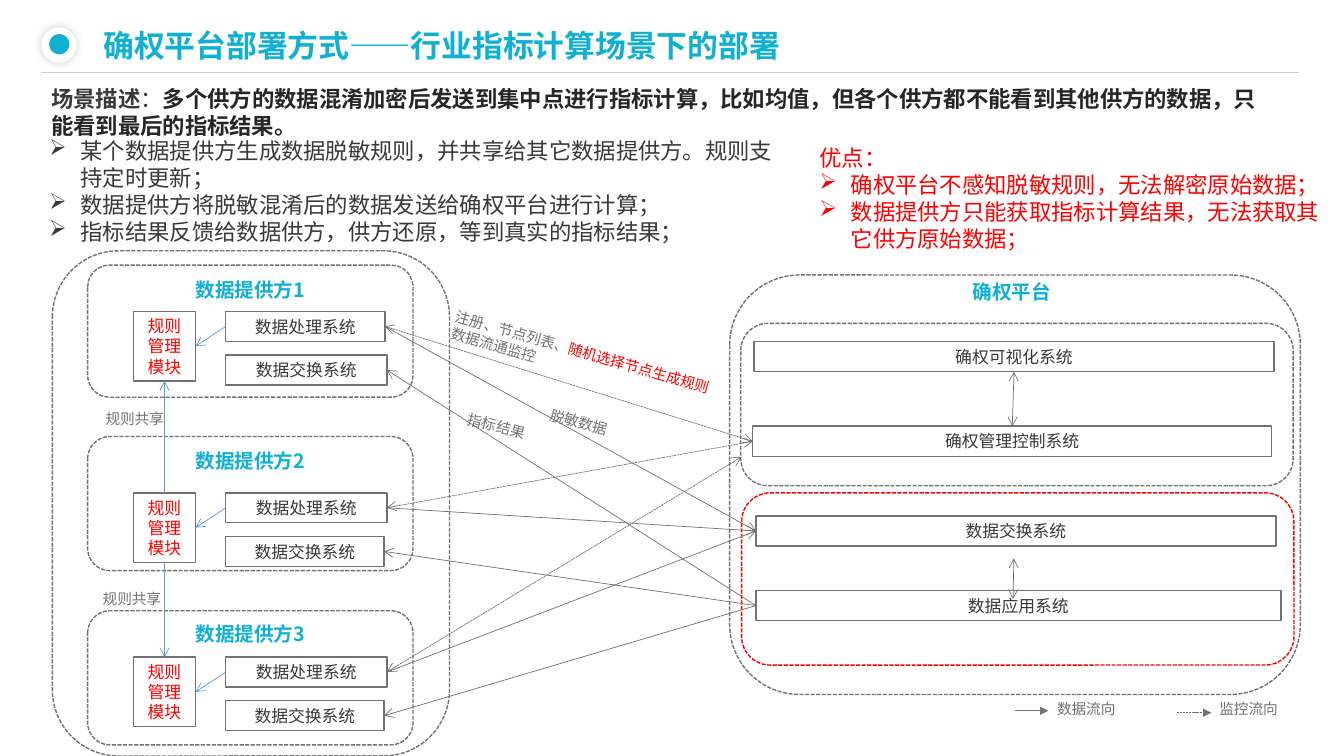
from dataclasses import dataclass

from lxml.etree import SubElement as Sub
from pptx import Presentation
from pptx.dml.color import RGBColor as Rgb
from pptx.enum.dml import MSO_LINE as Dash
from pptx.enum.shapes import MSO_CONNECTOR as Wire, MSO_SHAPE as Form
from pptx.enum.text import MSO_ANCHOR as Anchor, PP_ALIGN as Align
from pptx.oxml.ns import qn
from pptx.util import Cm, Pt


@dataclass(frozen=True)
class Theme:
    font: str = "Noto Sans CJK SC"
    cyan: str = "0FB0D2"
    blue: str = "5B9BD5"
    red: str = "FF0000"
    ink: str = "3B3838"
    dark: str = "262626"
    gray: str = "767171"
    pale: str = "D0CECE"
    white: str = "FFFFFF"
    title: float = 22
    body: float = 16
    head: float = 14
    label: float = 12
    note: float = 10.5
    lead: float = 1.2


T = Theme()
TOP, LEFT, DOWN, RIGHT = range(4)


def assign(thing, **values):
    for key, value in values.items():
        setattr(thing, key, value)


def write(shape, paras, size, align=Align.LEFT, anchor=Anchor.TOP, lead=None):
    frame = shape.text_frame
    assign(frame, word_wrap=True, vertical_anchor=anchor)
    for i, (mark, runs) in enumerate(paras):
        para = frame.add_paragraph() if i else frame.paragraphs[0]
        assign(para, alignment=align, line_spacing=Pt(lead or size * T.lead))
        if mark:
            props = para._p.get_or_add_pPr()
            props.set("marL", str(Cm(0.79)))
            props.set("indent", str(-Cm(0.79)))
            Sub(props, qn("a:buChar")).set("char", mark)
        for text, color, bold in runs:
            run = para.add_run()
            run.text = text
            assign(run.font, name=T.font, size=Pt(size), bold=bold)
            run.font.color.rgb = Rgb.from_string(color)
            Sub(run._r.get_or_add_rPr(), qn("a:ea")).set("typeface", T.font)


def prose(page, box, paras, size=T.body, turn=0, **style):
    shape = page.shapes.add_textbox(*map(Cm, box))
    shape.rotation = turn
    write(shape, paras, size, **style)


def note(page, box, text, size=T.note, color=T.gray, bold=False, **style):
    prose(page, box, [("", [(text, color, bold)])], size, **style)


def plain(page, form, box):
    shape = page.shapes.add_shape(form, *map(Cm, box))
    shape.shadow.inherit = False
    shape.fill.background()
    shape.line.fill.background()
    return shape


def edge(shape, color, width, dash=None):
    shape.line.color.rgb = Rgb.from_string(color)
    assign(shape.line, width=Pt(width), dash_style=dash)


def card(page, box, text, color=T.ink):
    shape = plain(page, Form.RECTANGLE, box)
    edge(shape, T.gray, 1)
    write(shape, [("", [(text, color, False)])], T.label, Align.CENTER, Anchor.MIDDLE)
    return shape


def zone(page, box, color=T.gray):
    edge(plain(page, Form.ROUNDED_RECTANGLE, box), color, 1, Dash.SQUARE_DOT)


def disc(page, box, color):
    shape = plain(page, Form.OVAL, box)
    shape.fill.solid()
    shape.fill.fore_color.rgb = Rgb.from_string(color)
    return shape


def draw(page, ends, color=T.gray, dash=None, head=None, tail="arrow"):
    line = page.shapes.add_connector(Wire.STRAIGHT, *map(Cm, ends))
    edge(line, color, 0.5, dash)
    props = line._element.spPr
    for tag, kind in (("a:headEnd", head), ("a:tailEnd", tail)):
        if kind:
            Sub(props.find(qn("a:ln")), qn(tag)).set("type", kind)
    Sub(props, qn("a:effectLst"))
    return line


def join(page, start, exit, stop, entry, **style):
    line = draw(page, (0, 0, 0, 0), **style)
    line.begin_connect(start, exit)
    line.end_connect(stop, entry)


def header(page):
    halo = disc(page, (1.04, 0.69, 0.89, 0.89), T.white)
    glow = Sub(halo._element.spPr.find(qn("a:effectLst")), qn("a:outerShdw"))
    for key, value in {"blurRad": Pt(6), "dist": 0, "dir": 5400000}.items():
        glow.set(key, str(value))
    tint = Sub(glow, qn("a:srgbClr"))
    tint.set("val", "000000")
    Sub(tint, qn("a:alpha")).set("val", "19000")
    disc(page, (1.24, 0.86, 0.51, 0.51), T.cyan)
    note(page, (2.36, 0.3, 26.34, 1.47), "确权平台部署方式——行业指标计算场景下的部署",
         T.title, T.cyan, True, lead=33.8)
    draw(page, (1.04, 1.83, 32.74, 1.83), T.pale, tail=None)


def intro(page):
    prose(page, (1.04, 2.03, 31.22, 1.63), [("", [
        ("场景描述", T.ink, True), ("：", T.ink, False),
        ("多个供方的数据混淆加密后发送到集中点进行指标计算，比如均值，但各个供方都不能看到其他供方的数据，"
         "只能看到最后的指标结果。", T.dark, True)])])
    steps = ("某个数据提供方生成数据脱敏规则，并共享给其它数据提供方。规则支持定时更新；",
             "数据提供方将脱敏混淆后的数据发送给确权平台进行计算；",
             "指标结果反馈给数据供方，供方还原，等到真实的指标结果；")
    prose(page, (0.99, 3.33, 18.85, 3), [("➢", [(s, T.ink, False)]) for s in steps])
    gains = (("", "优点："), ("➢", "确权平台不感知脱敏规则，无法解密原始数据；"),
             ("➢", "数据提供方只能获取指标计算结果，无法获取其它供方原始数据；"))
    prose(page, (20.4, 3.51, 13.21, 3), [(m, [(s, T.red, False)]) for m, s in gains])


def giver(page, num, top, high, title, row, wide, slim):
    zone(page, (2.21, top, 8.2, high))
    note(page, (4.14, title, 4.34, 0.84), f"数据提供方{num}", T.head, T.cyan, True,
         align=Align.CENTER)
    work = card(page, (5.69, row, wide, 0.75), "数据处理系统")
    swap = card(page, (5.69, row + 1.1, slim, 0.75), "数据交换系统")
    rule = card(page, (3.36, row, 1.57, 1.75), "规则管理模块", T.red)
    join(page, work, LEFT, rule, RIGHT, color=T.blue)
    return work, swap, rule


def hub(page):
    zone(page, (18.39, 6.93, 14.38, 10.57))
    zone(page, (18.67, 8.15, 13.92, 4.09))
    zone(page, (18.69, 12.42, 13.92, 4.34), T.red)
    note(page, (21.44, 6.93, 8.13, 0.86), "确权平台", T.head, T.cyan, True,
         align=Align.CENTER)
    view = card(page, (19, 8.61, 13.11, 0.76), "确权可视化系统")
    guard = card(page, (18.97, 10.74, 13.08, 0.76), "确权管理控制系统")
    swap = card(page, (19.05, 13, 13.11, 0.76), "数据交换系统")
    app = card(page, (19.05, 14.88, 13.23, 0.76), "数据应用系统")
    join(page, view, DOWN, guard, TOP, head="arrow")
    draw(page, (25.55, 14.07, 25.53, 15.09), head="arrow")
    return guard, swap, app


def flows(page, givers, guard, swap, app):
    watch = {"dash": Dash.SQUARE_DOT, "head": "arrow"}
    for work, trade, rule in givers:
        join(page, work, RIGHT, swap, LEFT)
        join(page, app, LEFT, trade, RIGHT)
    for work, trade, rule in givers[:2]:
        join(page, guard, LEFT, work, RIGHT, **watch)
    draw(page, (18.69, 11.51, 9.73, 16.94), **watch).end_connect(givers[2][0], RIGHT)
    first, second, third = (rule for work, trade, rule in givers)
    join(page, second, TOP, first, DOWN, color=T.blue)
    join(page, second, DOWN, third, TOP, color=T.blue)


def labels(page):
    prose(page, (11.05, 8.59, 7.65, 1.19), [
        ("", [("注册、节点列表、", T.gray, False), ("随机选择节点生成规则", T.red, False)]),
        ("", [("数据流通监控", T.gray, False)])], T.note, 16)
    note(page, (13.59, 10.39, 2.77, 0.74), "脱敏数据", turn=14.8)
    note(page, (11.51, 10.49, 2.77, 0.74), "指标结果", turn=15.1)
    note(page, (2.41, 10.21, 2.51, 0.69), "规则共享")
    note(page, (2.34, 14.73, 2.51, 0.69), "规则共享")
    note(page, (26.39, 17.5, 2.77, 0.74), "数据流向")
    note(page, (30.48, 17.5, 3.15, 0.74), "监控流向")
    draw(page, (25.58, 17.91, 26.42, 17.91), tail="triangle")
    draw(page, (29.67, 17.96, 30.53, 17.96), dash=Dash.SQUARE_DOT, tail="triangle")


def main():
    deck = Presentation()
    assign(deck, slide_width=Cm(33.87), slide_height=Cm(19.05))
    page = deck.slides.add_slide(deck.slide_layouts[6])
    header(page)
    intro(page)
    zone(page, (1.32, 6.32, 10.01, 12.73))
    rows = ((6.68, 3.33, 6.88, 7.85, 4.01, 4.06),
            (11, 3.38, 11.2, 12.42, 4.06, 3.99),
            (15.39, 3.38, 15.54, 16.56, 4.06, 3.99))
    givers = [giver(page, num, *row) for num, row in enumerate(rows, 1)]
    flows(page, givers, *hub(page))
    labels(page)
    deck.save("out.pptx")


if __name__ == "__main__":
    main()
